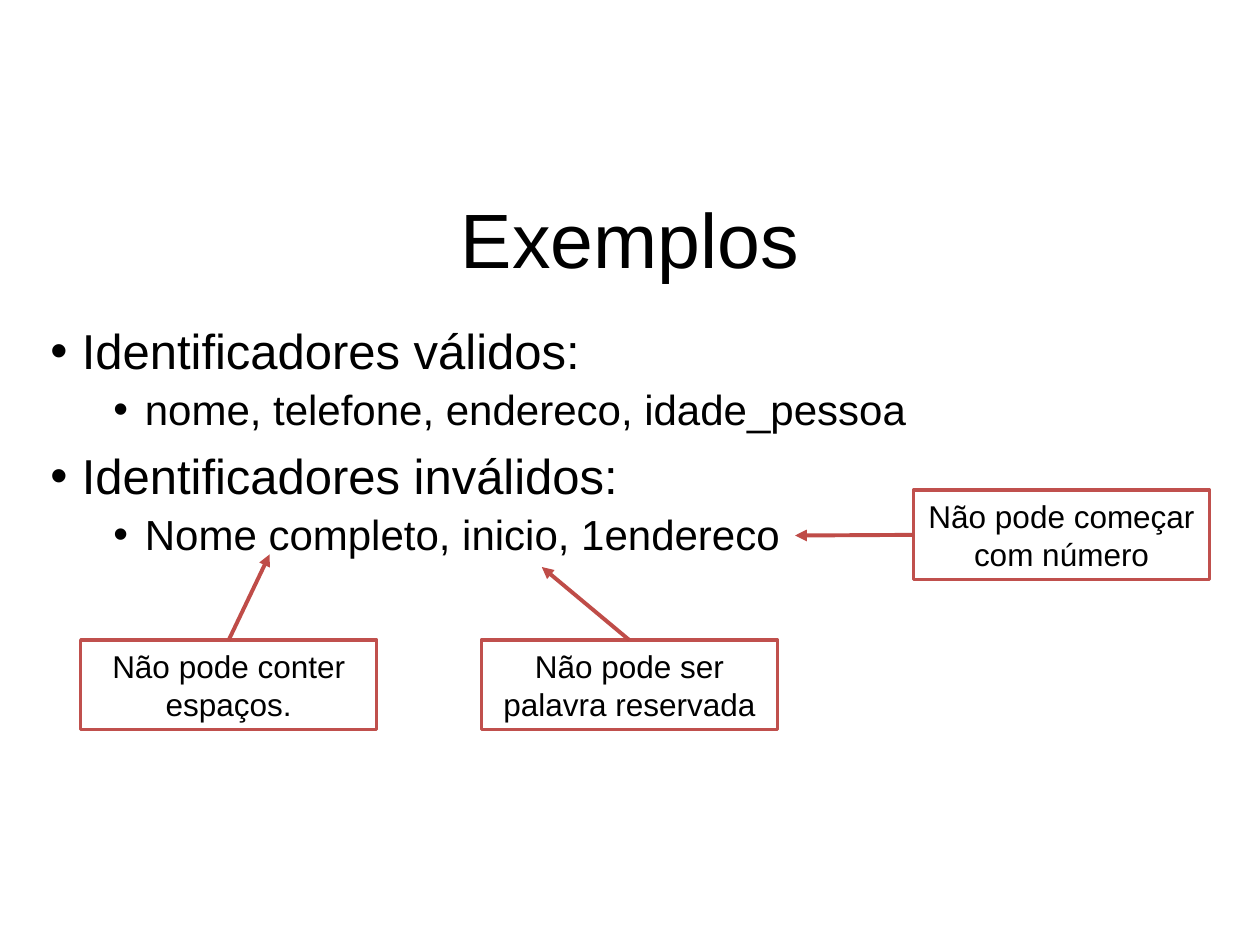
from lxml.etree import SubElement
from pptx import Presentation
from pptx.dml.color import RGBColor
from pptx.enum.shapes import MSO_CONNECTOR, MSO_SHAPE
from pptx.enum.text import MSO_ANCHOR, MSO_AUTO_SIZE, PP_ALIGN
from pptx.oxml.ns import qn
from pptx.util import Inches, Pt

BLACK = RGBColor(0x00, 0x00, 0x00)
WHITE = RGBColor(0xFF, 0xFF, 0xFF)
RED = RGBColor(0xC0, 0x50, 0x4D)
ROSE = RGBColor(0xBF, 0x4C, 0x48)
FONT = "Arial"
COLS, ROWS = 100, 75
CELL = Inches(0.1)
NOTE_W, NOTE_H = 23.5, 7.1
TOP, LEFT = 0, 1

ITEMS = [
    (0, "Identificadores válidos:"),
    (1, "nome, telefone, endereco, idade_pessoa"),
    (0, "Identificadores inválidos:"),
    (1, "Nome completo, inicio, 1endereco"),
]
LEVELS = [(28, 10, 0.25), (24, 5, 0.75)]
NOTES = [
    ("Não pode ser palavra reservada", 38.2, 50.8, TOP, (43, 45)),
    ("Não pode conter espaços.", 6.4, 50.8, TOP, (21.4, 44)),
    ("Não pode começar com número", 72.5, 38.9, LEFT, (63.1, 42.5)),
]


def grid(*cells):
    return [round(cell * CELL) for cell in cells]


def add_run(para, text, size):
    run = para.add_run()
    run.text = text
    run.font.name = FONT
    run.font.size = Pt(size)
    run.font.color.rgb = BLACK


def clear_pad(frame):
    frame.margin_left = frame.margin_right = 0
    frame.margin_top = frame.margin_bottom = 0
    frame.word_wrap = True


def add_title(slide, text):
    title = slide.shapes.title
    title.left, title.top, title.width, title.height = grid(7.5, 14.3, 85, 10)
    frame = title.text_frame
    clear_pad(frame)
    frame.vertical_anchor = MSO_ANCHOR.MIDDLE
    para = frame.paragraphs[0]
    para.alignment = PP_ALIGN.CENTER
    para.line_spacing = 0.9
    add_run(para, text, 44)


def set_bullet(para, indent):
    props = para._p.get_or_add_pPr()
    props.set("marL", str(Inches(indent)))
    props.set("indent", str(Inches(-0.25)))
    SubElement(props, qn("a:buFont")).set("typeface", FONT)
    SubElement(props, qn("a:buChar")).set("char", "•")


def add_list(slide, items):
    frame = slide.shapes.add_textbox(*grid(4, 26, 90, 21.3)).text_frame
    clear_pad(frame)
    for index, (level, text) in enumerate(items):
        size, space, indent = LEVELS[level]
        para = frame.add_paragraph() if index else frame.paragraphs[0]
        para.level = level
        para.line_spacing = 0.9
        para.space_before = Pt(space)
        set_bullet(para, indent)
        add_run(para, text, size)


def add_box(group, text, left, top):
    box = group.shapes.add_shape(
        MSO_SHAPE.RECTANGLE, *grid(left, top, NOTE_W, NOTE_H))
    box.shadow.inherit = False
    box.fill.solid()
    box.fill.fore_color.rgb = WHITE
    box.line.color.rgb = RED
    box.line.width = Pt(2)
    frame = box.text_frame
    frame.word_wrap = True
    frame.auto_size = MSO_AUTO_SIZE.SHAPE_TO_FIT_TEXT
    para = frame.paragraphs[0]
    para.alignment = PP_ALIGN.CENTER
    add_run(para, text, 18)
    return box


def add_arrow(group, box, side, goal):
    if side == TOP:
        start = box.left + box.width // 2, box.top
    else:
        start = box.left, box.top + box.height // 2
    arrow = group.shapes.add_connector(
        MSO_CONNECTOR.STRAIGHT, *start, *grid(*goal))
    arrow.begin_connect(box, side)
    arrow.line.color.rgb = ROSE
    arrow.line.width = Pt(2.25)
    SubElement(arrow.line._get_or_add_ln(), qn("a:tailEnd")).set("type", "triangle")
    SubElement(arrow._element.spPr, qn("a:effectLst"))


def add_note(slide, text, left, top, side, goal):
    group = slide.shapes.add_group_shape()
    box = add_box(group, text, left, top)
    add_arrow(group, box, side, goal)


def main():
    deck = Presentation()
    deck.slide_width, deck.slide_height = grid(COLS, ROWS)
    slide = deck.slides.add_slide(deck.slide_layouts[5])
    add_title(slide, "Exemplos")
    add_list(slide, ITEMS)
    for note in NOTES:
        add_note(slide, *note)
    deck.save("out.pptx")


if __name__ == "__main__":
    main()
